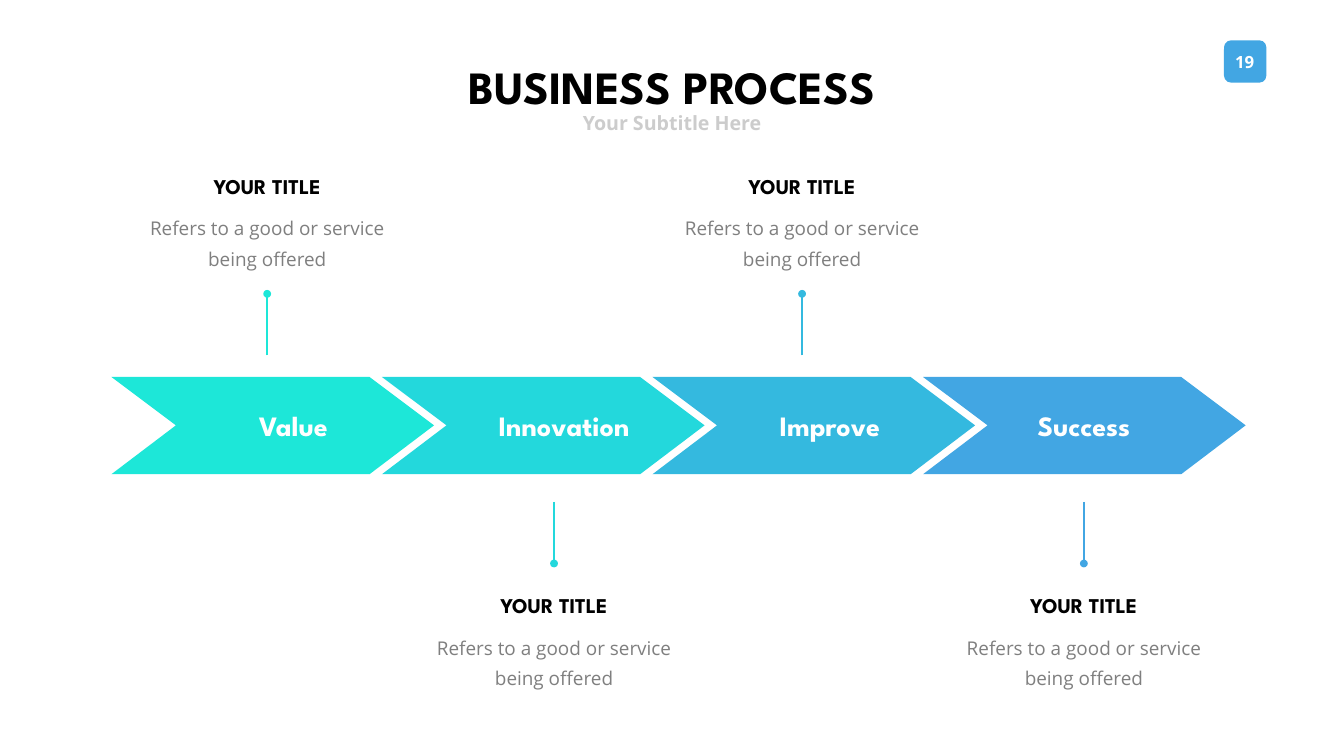
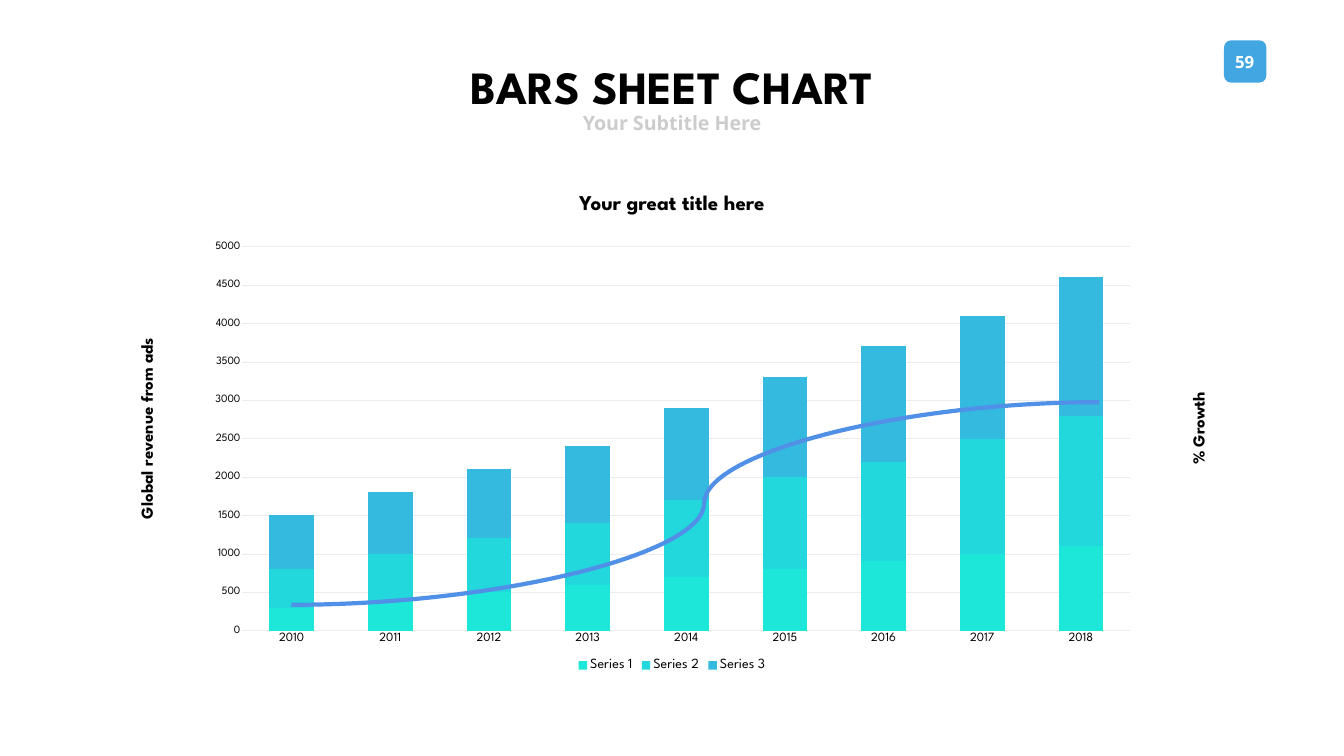
"""Build a business process slide and a stacked bar chart slide."""
from dataclasses import dataclass
from typing import Any

from pptx import Presentation, oxml
from pptx import util as u
from pptx.chart import data as chart_data
from pptx.dml import color
from pptx.enum import chart as chart_enum
from pptx.enum import shapes, text
from pptx.oxml import ns

COLORS = {
    "black": "000000", "white": "FFFFFF", "silver": "CCCCCC", "gray": "7F7F7F",
    "grid": "ECECEC", "mint": "1DE7D8", "turquoise": "23D8DC", "sky": "34B9DF",
    "blue": "42A6E3", "curve": "5091E7",
}
HEADING_FONT, BODY_FONT = "League Spartan", "Open Sans"
SLIDE_WIDTH, SLIDE_HEIGHT = 26.66, 15
ARROW_LEFT, ARROW_TOP, ARROW_PITCH = 2.21, 7.48, (18.31 - 2.21) / 3
ARROW_OUTLINE = [(0, 0), (5.12, 0), (6.4, 0.96), (5.12, 1.93), (0, 1.93), (1.28, 0.96)]


@dataclass(frozen=True)
class Style:
    """Text look: font, size, colour and spacing."""
    name: str
    size: float
    color: str
    bold: bool = True
    spacing: float | None = None
    wrap: bool = False
    anchor: Any = text.MSO_ANCHOR.MIDDLE
    inset: tuple[float, float] = (0.1, 0.05)


@dataclass(frozen=True)
class Box:
    """Text frame placed by its horizontal centre."""
    center: float
    top: float
    width: float
    height: float
    rotation: float = 0


@dataclass(frozen=True)
class Step:
    """One arrow of the process with its callout."""
    label: str
    color: str
    label_center: float
    label_width: float
    callout_center: float
    above: bool


@dataclass(frozen=True)
class CalloutRow:
    """Vertical places of the callouts on one side of the arrows."""
    heading_top: float
    body_top: float
    stem_start: float
    stem_end: float


STYLES = {
    "title": Style(HEADING_FONT, 66, "black", spacing=100, anchor=text.MSO_ANCHOR.TOP),
    "subtitle": Style(BODY_FONT, 28, "silver"),
    "page": Style(BODY_FONT, 24, "white", anchor=text.MSO_ANCHOR.TOP, inset=(0.2, 0.1)),
    "step": Style(HEADING_FONT, 40, "white"),
    "heading": Style(HEADING_FONT, 30, "black"),
    "axis": Style(HEADING_FONT, 24, "black"),
    "body": Style(BODY_FONT, 27, "gray", bold=False, spacing=43, wrap=True,
                  anchor=text.MSO_ANCHOR.TOP, inset=(0.24, 0.12)),
}
STEPS = [
    Step("Value", "mint", 5.82, 1.9, 5.3, True),
    Step("Innovation", "turquoise", 11.19, 3.36, 10.99, False),
    Step("Improve", "sky", 16.46, 2.65, 15.91, True),
    Step("Success", "blue", 21.5, 2.39, 21.5, False),
]
ROWS = {
    True: CalloutRow(3.38, 4.04, 7.05, 5.83),
    False: CalloutRow(11.71, 12.37, 9.96, 11.18),
}
SERIES = {
    "Series 1": ("mint", [300, 400, 500, 600, 700, 800, 900, 1000, 1100]),
    "Series 2": ("turquoise", [500, 600, 700, 800, 1000, 1200, 1300, 1500, 1700]),
    "Series 3": ("sky", [700, 800, 900, 1000, 1200, 1300, 1500, 1600, 1800]),
}


def rgb(name: str) -> color.RGBColor:
    """Return a palette colour."""
    return color.RGBColor.from_string(COLORS[name])


def apply(target: Any, values: dict[str, Any]) -> None:
    """Set every attribute of the target from the format values."""
    for name, value in values.items():
        setattr(target, name, value)


def set_text(shape: Any, content: str, style: Style, box: Box) -> None:
    """Place a text shape and fill it with one centred, styled paragraph."""
    apply(shape, {
        "left": u.Inches(box.center - box.width / 2), "top": u.Inches(box.top),
        "width": u.Inches(box.width), "height": u.Inches(box.height),
        "rotation": box.rotation,
    })
    horizontal, vertical = map(u.Inches, style.inset)
    apply(shape.text_frame, {
        "text": content, "word_wrap": style.wrap, "vertical_anchor": style.anchor,
        "auto_size": text.MSO_AUTO_SIZE.SHAPE_TO_FIT_TEXT,
        "margin_left": horizontal, "margin_right": horizontal,
        "margin_top": vertical, "margin_bottom": vertical,
    })
    paragraph = shape.text_frame.paragraphs[0]
    paragraph.alignment = text.PP_ALIGN.CENTER
    if style.spacing:
        paragraph.line_spacing = u.Pt(style.spacing)
    font = paragraph.runs[0].font
    apply(font, {"name": style.name, "size": u.Pt(style.size), "bold": style.bold})
    font.color.rgb = rgb(style.color)


def add_text(slide: Any, content: str, style: str, box: Box) -> None:
    """Add a text box in a named style."""
    shape = slide.shapes.add_textbox(0, 0, u.Inches(box.width), u.Inches(box.height))
    set_text(shape, content, STYLES[style], box)


def paint(shape: Any, fill: str) -> None:
    """Give a shape a flat fill without outline or shadow."""
    shape.shadow.inherit = False
    shape.fill.solid()
    shape.fill.fore_color.rgb = rgb(fill)
    shape.line.fill.background()


def add_line(slide: Any, kind: Any, start: tuple[float, float], end: tuple[float, float],
             line_color: str, width: float) -> Any:
    """Add a connector without shadow."""
    connector = slide.shapes.add_connector(kind, *map(u.Inches, (*start, *end)))
    connector.line.color.rgb = rgb(line_color)
    connector.line.width = u.Pt(width)
    connector.element.spPr.append(oxml.parse_xml(f"<a:effectLst {ns.nsdecls('a')}/>"))
    return connector


def add_slide(presentation: Any, title: str, page: str) -> Any:
    """Add a slide with the shared title, subtitle and page badge."""
    slide = presentation.slides.add_slide(presentation.slide_layouts[5])
    set_text(slide.shapes.title, title, STYLES["title"], Box(SLIDE_WIDTH / 2, 0.81, 9.78, 1.49))
    add_text(slide, "Your Subtitle Here", "subtitle", Box(SLIDE_WIDTH / 2, 2.15, 3.78, 0.57))
    badge = slide.shapes.add_shape(shapes.MSO_SHAPE.ROUNDED_RECTANGLE,
                                   *map(u.Inches, (24.28, 0.8, 0.84, 0.84)))
    paint(badge, "blue")
    add_text(slide, page, "page", Box(24.69, 0.93, 0.88, 0.61))
    return slide


def add_step(slide: Any, index: int, step: Step) -> None:
    """Draw one process arrow, its label and its callout."""
    left = ARROW_LEFT + index * ARROW_PITCH
    points = [(u.Inches(left + x), u.Inches(ARROW_TOP + y)) for x, y in ARROW_OUTLINE]
    builder = slide.shapes.build_freeform(*points[0])
    builder.add_line_segments(points[1:], close=True)
    paint(builder.convert_to_shape(), step.color)
    add_text(slide, step.label, "step", Box(step.label_center, 8.05, step.label_width, 0.77))

    row, center = ROWS[step.above], step.callout_center
    stem = add_line(slide, shapes.MSO_CONNECTOR.STRAIGHT, (center, row.stem_start),
                    (center, row.stem_end), step.color, 2.25)
    stem.element.spPr.find(ns.qn("a:ln")).append(
        oxml.parse_xml(f'<a:tailEnd {ns.nsdecls("a")} type="oval" w="lg" len="lg"/>'))
    add_text(slide, "YOUR TITLE", "heading", Box(center, row.heading_top, 2.72, 0.61))
    add_text(slide, "Refers to a good or service being offered", "body",
             Box(center, row.body_top, 5.29, 1.45))


def format_font(font: Any, size: float) -> None:
    """Format chart text."""
    apply(font, {"name": HEADING_FONT, "size": u.Pt(size), "bold": False})
    font.color.rgb = rgb("black")


def add_revenue_chart(slide: Any) -> None:
    """Add the stacked column chart."""
    data = chart_data.CategoryChartData()
    data.categories = [str(year) for year in range(2010, 2019)]
    for name, (_, values) in SERIES.items():
        data.add_series(name, values)
    chart = slide.shapes.add_chart(chart_enum.XL_CHART_TYPE.COLUMN_STACKED,
                                   *map(u.Inches, (3.86, 4.63, 18.94, 8.76)), data).chart
    apply(chart, {"has_title": False, "has_legend": True})
    format_font(chart.font, 14)
    apply(chart.legend, {"position": chart_enum.XL_LEGEND_POSITION.BOTTOM,
                         "include_in_layout": False})
    format_font(chart.legend.font, 20)
    plot = chart.plots[0]
    apply(plot, {"gap_width": 120, "overlap": 100, "vary_by_categories": False})
    for series in plot.series:
        series.format.fill.solid()
        series.format.fill.fore_color.rgb = rgb(SERIES[series.name][0])

    for axis, size in ((chart.category_axis, 18), (chart.value_axis, 16)):
        apply(axis, {"major_tick_mark": chart_enum.XL_TICK_MARK.NONE,
                     "minor_tick_mark": chart_enum.XL_TICK_MARK.NONE})
        format_font(axis.tick_labels.font, size)
    value_axis = chart.value_axis
    apply(value_axis, {"minimum_scale": 0, "maximum_scale": 5000, "major_unit": 500,
                       "has_major_gridlines": True})
    value_axis.format.line.fill.background()
    for line in (chart.category_axis.format.line, value_axis.major_gridlines.format.line):
        line.color.rgb = rgb("grid")
        line.width = u.Pt(0.75)

    area = chart.element.xpath("c:chart/c:plotArea")[0]
    for layout in area.xpath("c:layout"):
        area.remove(layout)
    places = "".join(f'<c:{name} val="{value}"/>' for name, value in (
        ("layoutTarget", "inner"), ("xMode", "edge"), ("yMode", "edge"),
        ("x", 0.05), ("y", 0.03), ("w", 0.93), ("h", 0.87)))
    area.insert(0, oxml.parse_xml(f"<c:layout {ns.nsdecls('c')}><c:manualLayout>"
                                  f"{places}</c:manualLayout></c:layout>"))


def add_growth_curve(slide: Any) -> None:
    """Draw the growth curve over the columns."""
    curve = add_line(slide, shapes.MSO_CONNECTOR.CURVE, (5.78, 12), (21.8, 7.98), "curve", 6)
    geometry = curve.element.spPr.find(ns.qn("a:prstGeom"))
    for child in list(geometry):
        geometry.remove(child)
    geometry.append(oxml.parse_xml(f'<a:avLst {ns.nsdecls("a")}>'
                                   '<a:gd name="adj1" fmla="val 51100"/></a:avLst>'))


def main() -> None:
    """Build and save the presentation."""
    presentation = Presentation()
    apply(presentation, {"slide_width": u.Inches(SLIDE_WIDTH),
                         "slide_height": u.Inches(SLIDE_HEIGHT)})

    process = add_slide(presentation, "BUSINESS PROCESS", "19")
    for index, step in enumerate(STEPS):
        add_step(process, index, step)

    bars = add_slide(presentation, "BARS SHEET CHART", "59")
    add_revenue_chart(bars)
    add_growth_curve(bars)
    add_text(bars, "Your great title here", "heading", Box(SLIDE_WIDTH / 2, 3.7, 4.67, 0.61))
    add_text(bars, "% Growth", "axis", Box(23.76, 8.25, 1.98, 0.5, 270))
    add_text(bars, "Global revenue from ads", "axis", Box(2.9, 8.25, 4.54, 0.5, 270))

    presentation.save("out.pptx")


if __name__ == "__main__":
    main()
